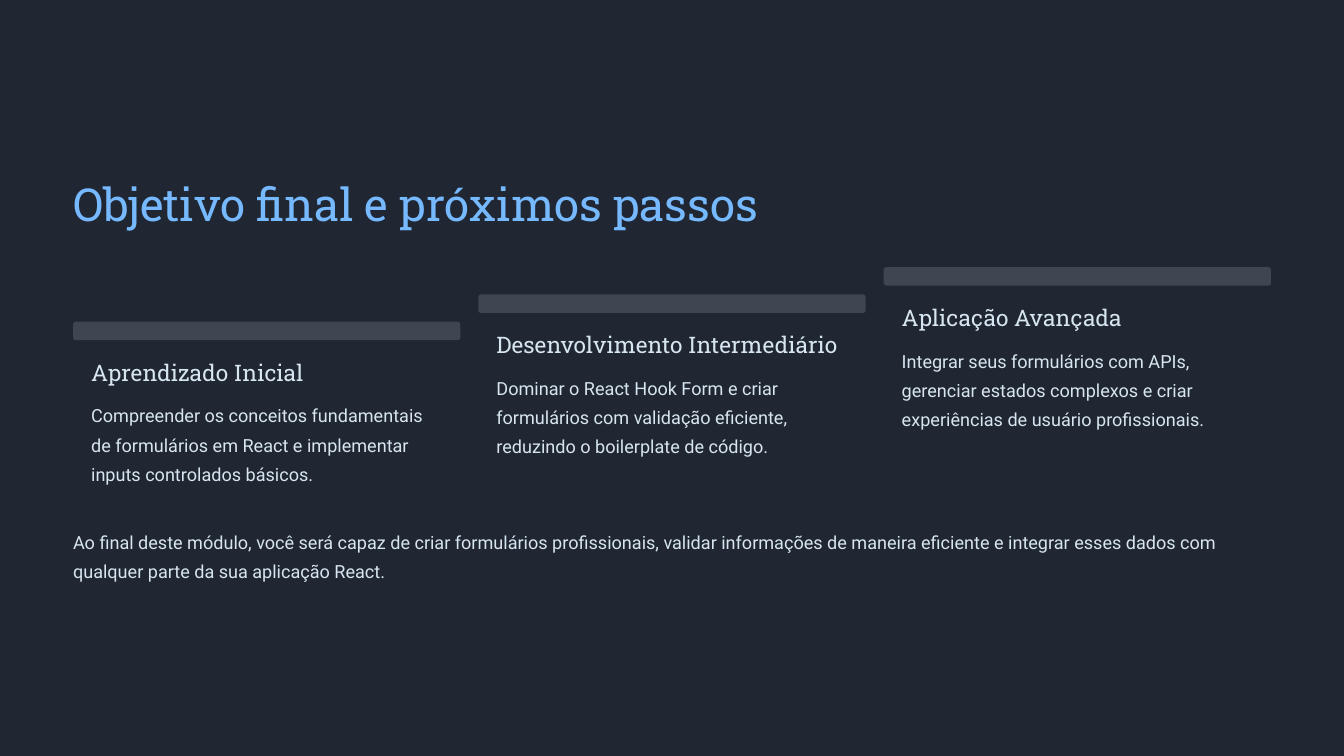
from pptx import Presentation
from pptx.dml.color import RGBColor
from pptx.enum.shapes import MSO_SHAPE
from pptx.enum.text import MSO_ANCHOR, MSO_AUTO_SIZE, PP_ALIGN
from pptx.util import Inches, Pt

ROUNDED = MSO_SHAPE.ROUNDED_RECTANGLE
TOP = MSO_ANCHOR.TOP
LEFT = PP_ALIGN.LEFT
NO_FIT = MSO_AUTO_SIZE.NONE

NIGHT = RGBColor(0x20, 0x27, 0x33)
SLATE = RGBColor(0x3F, 0x46, 0x52)
SKY = RGBColor(0x76, 0xB9, 0xFF)
MIST = RGBColor(0xD6, 0xE5, 0xEF)

TITLE_STYLE = ("Roboto Slab", 39, 48.5, SKY)
HEADING_STYLE = ("Roboto Slab", 19.5, 24, MIST)
BODY_STYLE = ("Roboto", 15.5, 25, MIST)

WIDTH, HEIGHT = 16, 9
MARGIN = 0.87
CONTENT_WIDTH = WIDTH - 2 * MARGIN
GAP = 0.215
COLUMN_WIDTH = (CONTENT_WIDTH - 2 * GAP) / 3
BAR_HEIGHT = 0.22
FIRST_BAR_TOP = 3.83
STEP_RISE = 0.325

STEPS = [
    ("Aprendizado Inicial",
     "Compreender os conceitos fundamentais de formulários em React "
     "e implementar inputs controlados básicos."),
    ("Desenvolvimento Intermediário",
     "Dominar o React Hook Form e criar formulários com validação eficiente, "
     "reduzindo o boilerplate de código."),
    ("Aplicação Avançada",
     "Integrar seus formulários com APIs, gerenciar estados complexos "
     "e criar experiências de usuário profissionais."),
]
CLOSING = (
    "Ao final deste módulo, você será capaz de criar formulários profissionais, "
    "validar informações de maneira eficiente e integrar esses dados com "
    "qualquer parte da sua aplicação React."
)


def write_text(box, text, style, wrap=True):
    font_name, size, line_height, color = style
    frame = box.text_frame
    frame.auto_size = NO_FIT
    frame.word_wrap = wrap
    frame.vertical_anchor = TOP
    frame.margin_left = frame.margin_right = 0
    frame.margin_top = frame.margin_bottom = 0
    para = frame.paragraphs[0]
    para.alignment = LEFT
    para.line_spacing = Pt(line_height)
    span = para.add_run()
    span.text = text
    span.font.name = font_name
    span.font.size = Pt(size)
    span.font.color.rgb = color


def add_title(page, text):
    title = page.shapes.title
    title.left, title.top = Inches(MARGIN), Inches(2.07)
    title.width, title.height = Inches(8.21), Inches(0.68)
    write_text(title, text, TITLE_STYLE, wrap=False)


def add_text(page, left, top, width, height, text, style, wrap=True):
    box = page.shapes.add_textbox(
        Inches(left), Inches(top), Inches(width), Inches(height))
    write_text(box, text, style, wrap)


def add_bar(page, left, top):
    bar = page.shapes.add_shape(
        ROUNDED, Inches(left), Inches(top), Inches(COLUMN_WIDTH), Inches(BAR_HEIGHT))
    bar.adjustments[0] = 0.15
    bar.shadow.inherit = False
    bar.fill.solid()
    bar.fill.fore_color.rgb = SLATE
    bar.line.fill.background()


def add_step(page, index, heading, body):
    left = MARGIN + index * (COLUMN_WIDTH + GAP)
    top = FIRST_BAR_TOP - index * STEP_RISE
    text_left = left + GAP
    text_width = COLUMN_WIDTH - 2 * GAP
    add_bar(page, left, top)
    add_text(page, text_left, top + 0.43, text_width, 0.34,
             heading, HEADING_STYLE, wrap=False)
    add_text(page, text_left, top + 0.9, text_width, 1.04, body, BODY_STYLE)


def main():
    deck = Presentation()
    deck.slide_width, deck.slide_height = Inches(WIDTH), Inches(HEIGHT)
    page = deck.slides.add_slide(deck.slide_layouts[5])
    page.background.fill.solid()
    page.background.fill.fore_color.rgb = NIGHT
    add_title(page, "Objetivo final e próximos passos")
    for index, (heading, body) in enumerate(STEPS):
        add_step(page, index, heading, body)
    add_text(page, MARGIN, 6.24, CONTENT_WIDTH, 0.69, CLOSING, BODY_STYLE)
    deck.save("out.pptx")


if __name__ == "__main__":
    main()
